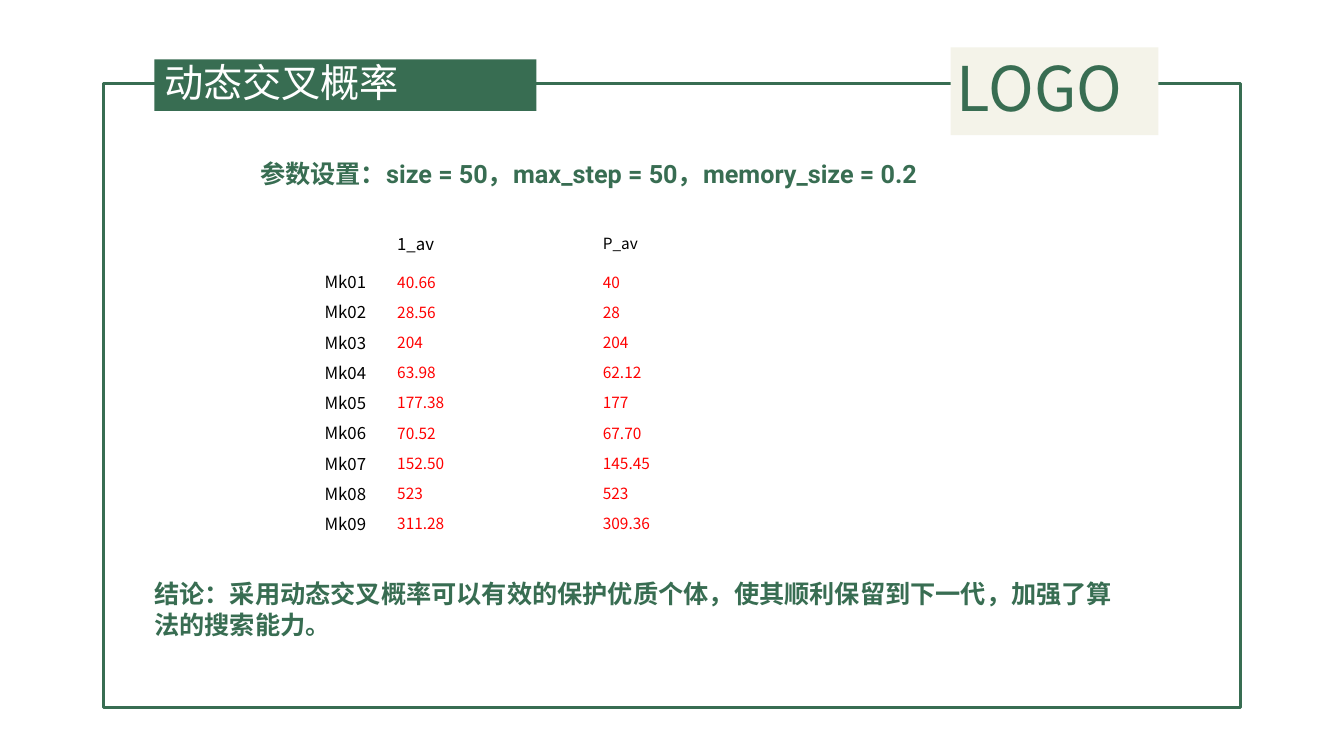
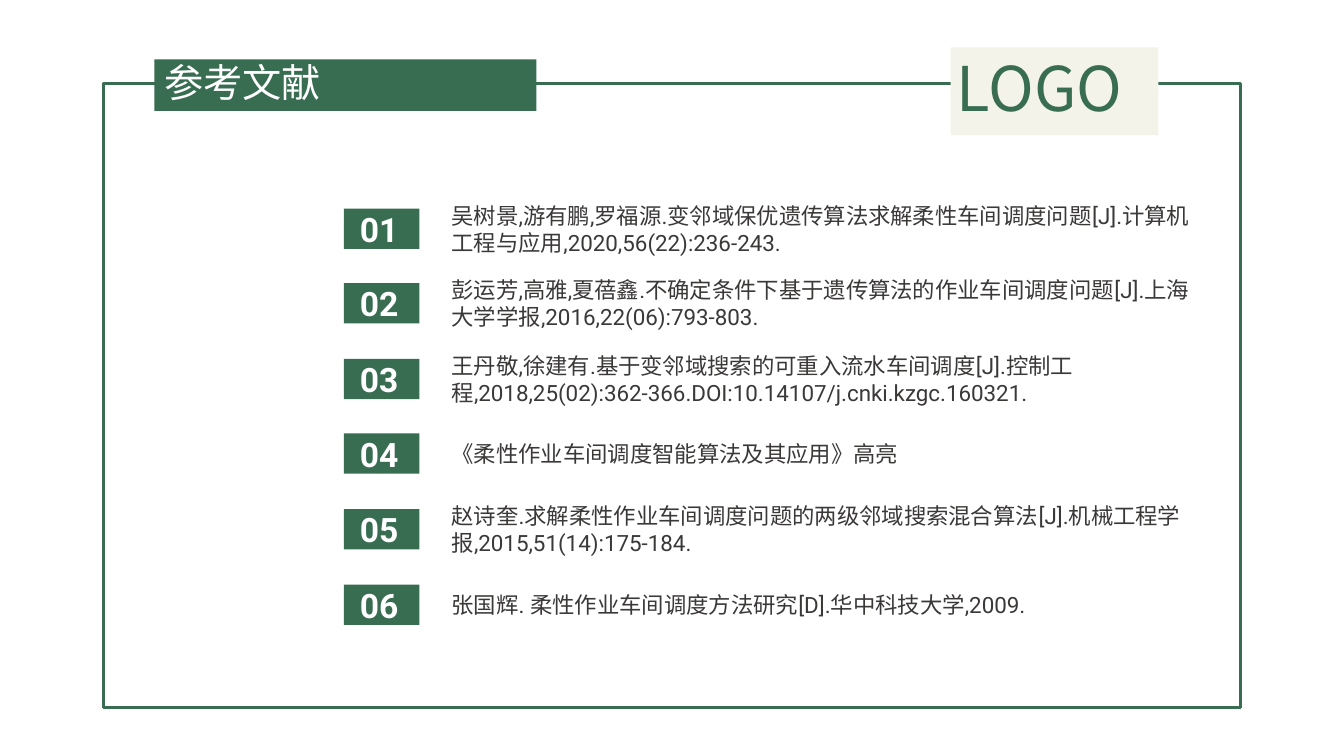
from lxml.etree import SubElement
from pptx import Presentation
from pptx.dml.color import RGBColor
from pptx.enum.shapes import MSO_SHAPE as Kind
from pptx.enum.text import MSO_ANCHOR as Anchor, PP_ALIGN as Align
from pptx.oxml.ns import qn
from pptx.util import Emu, Pt

GREEN = RGBColor(0x38, 0x6D, 0x52)
CREAM = RGBColor(0xF4, 0xF3, 0xE9)
WHITE = RGBColor(0xFF, 0xFF, 0xFF)
BLACK = RGBColor(0x00, 0x00, 0x00)
GRAY = RGBColor(0x3B, 0x38, 0x38)
RED = RGBColor(0xFF, 0x00, 0x00)
LATIN = "Roboto"
HAN = "Noto Sans CJK SC"

SCORES = [
    ("", "1_av", "P_av"),
    ("Mk01", "40.66", "40"),
    ("Mk02", "28.56", "28"),
    ("Mk03", "204", "204"),
    ("Mk04", "63.98", "62.12"),
    ("Mk05", "177.38", "177"),
    ("Mk06", "70.52", "67.70"),
    ("Mk07", "152.50", "145.45"),
    ("Mk08", "523", "523"),
    ("Mk09", "311.28", "309.36"),
]

PAPERS = [
    "吴树景,游有鹏,罗福源.变邻域保优遗传算法求解柔性车间调度问题[J].计算机工程与应用,2020,56(22):236-243.",
    "彭运芳,高雅,夏蓓鑫.不确定条件下基于遗传算法的作业车间调度问题[J].上海大学学报,2016,22(06):793-803.",
    "王丹敬,徐建有.基于变邻域搜索的可重入流水车间调度[J].控制工程,2018,25(02):362-366.DOI:10.14107/j.cnki.kzgc.160321.",
    "《柔性作业车间调度智能算法及其应用》高亮",
    "赵诗奎.求解柔性作业车间调度问题的两级邻域搜索混合算法[J].机械工程学报,2015,51(14):175-184.",
    "张国辉. 柔性作业车间调度方法研究[D].华中科技大学,2009.",
]


def px(count):
    return Emu(count * 9144)


def write(frame, text, size=18, color=GREEN, bold=False, font=LATIN, space=None):
    para = frame.paragraphs[0]
    para.alignment = Align.LEFT
    para.line_spacing = space
    run = para.add_run()
    run.text = text
    run.font.size = Pt(size)
    run.font.bold = bold
    run.font.color.rgb = color
    run.font.name = font
    SubElement(run.font._element, qn("a:ea")).set("typeface", HAN)


def inset(item, left, top, right, bottom):
    item.margin_left, item.margin_top = px(left), px(top)
    item.margin_right, item.margin_bottom = px(right), px(bottom)


class Deck:
    def __init__(self):
        self.prs = Presentation()
        self.prs.slide_width = px(1333)
        self.prs.slide_height = px(750)
        self.slide = None

    def page(self, title):
        self.slide = self.prs.slides.add_slide(self.prs.slide_layouts[6])
        self.rect(103, 83, 1127, 619, line=GREEN)
        self.rect(943, 47, 206, 87, fill=CREAM)
        self.rect(153, 59, 379, 51, fill=GREEN)
        self.text("LOGO", 939, 45, 214, 84, pad=(10, 5, 10, 5), size=44, font=HAN)
        self.text(title, 153, 59, 376, 50, pad=(10, 5, 10, 5),
                  anchor=Anchor.MIDDLE, size=28, color=WHITE, space=0.9)

    def rect(self, left, top, width, height, fill=None, line=None):
        box = self.slide.shapes.add_shape(
            Kind.RECTANGLE, px(left), px(top), px(width), px(height))
        box.shadow.inherit = False
        if fill is None:
            box.fill.background()
        else:
            box.fill.solid()
            box.fill.fore_color.rgb = fill
        if line is None:
            box.line.fill.background()
        else:
            box.line.color.rgb = line
            box.line.width = Pt(2.25)
        return box

    def text(self, text, left, top, width, height,
             pad=(0, 0, 0, 0), anchor=Anchor.TOP, **style):
        box = self.slide.shapes.add_textbox(
            px(left), px(top), px(width), px(height))
        frame = box.text_frame
        frame.word_wrap = True
        frame.vertical_anchor = anchor
        inset(frame, *pad)
        write(frame, text, **style)

    def badge(self, text, left, top):
        frame = self.rect(left, top, 75, 40, fill=GREEN).text_frame
        frame.vertical_anchor = Anchor.MIDDLE
        inset(frame, 16, 0, 0, 0)
        write(frame, text, size=24, color=WHITE, bold=True)

    def table(self, rows, left, top, wide, high):
        grid = self.slide.shapes.add_table(
            len(rows), len(wide), px(left), px(top),
            px(sum(wide)), px(sum(high))).table
        grid.first_row = grid.horz_banding = False
        for col, width in zip(grid.columns, wide):
            col.width = px(width)
        for row, height in zip(grid.rows, high):
            row.height = px(height)
        for r, row in enumerate(rows):
            for c, value in enumerate(row):
                cell = grid.cell(r, c)
                cell.fill.background()
                cell.vertical_anchor = Anchor.MIDDLE
                inset(cell, 1, 1, 1, 5)
                small = c == 2 or (r and c)
                write(cell.text_frame, value, size=11 if small else 12,
                      color=RED if r and c else BLACK, font=HAN)


def main():
    deck = Deck()

    deck.page("动态交叉概率")
    deck.table(SCORES, 321, 220, (72, 204, 154), [46] + [30] * 9)
    deck.text("参数设置：size = 50，max_step = 50，memory_size = 0.2",
              258, 157, 969, 30, bold=True)
    deck.text("结论：采用动态交叉概率可以有效的保护优质个体，使其顺利保留到下一代，加强了算法的搜索能力。",
              153, 574, 969, 61, bold=True)

    deck.page("参考文献")
    for i, paper in enumerate(PAPERS):
        top = 207 + i * 373 // 5
        deck.badge(f"{i + 1:02}", 341, top)
        deck.text(paper, 448, top - 7, 736, 54,
                  anchor=Anchor.MIDDLE, size=16, color=GRAY)

    deck.prs.save("out.pptx")


if __name__ == "__main__":
    main()
